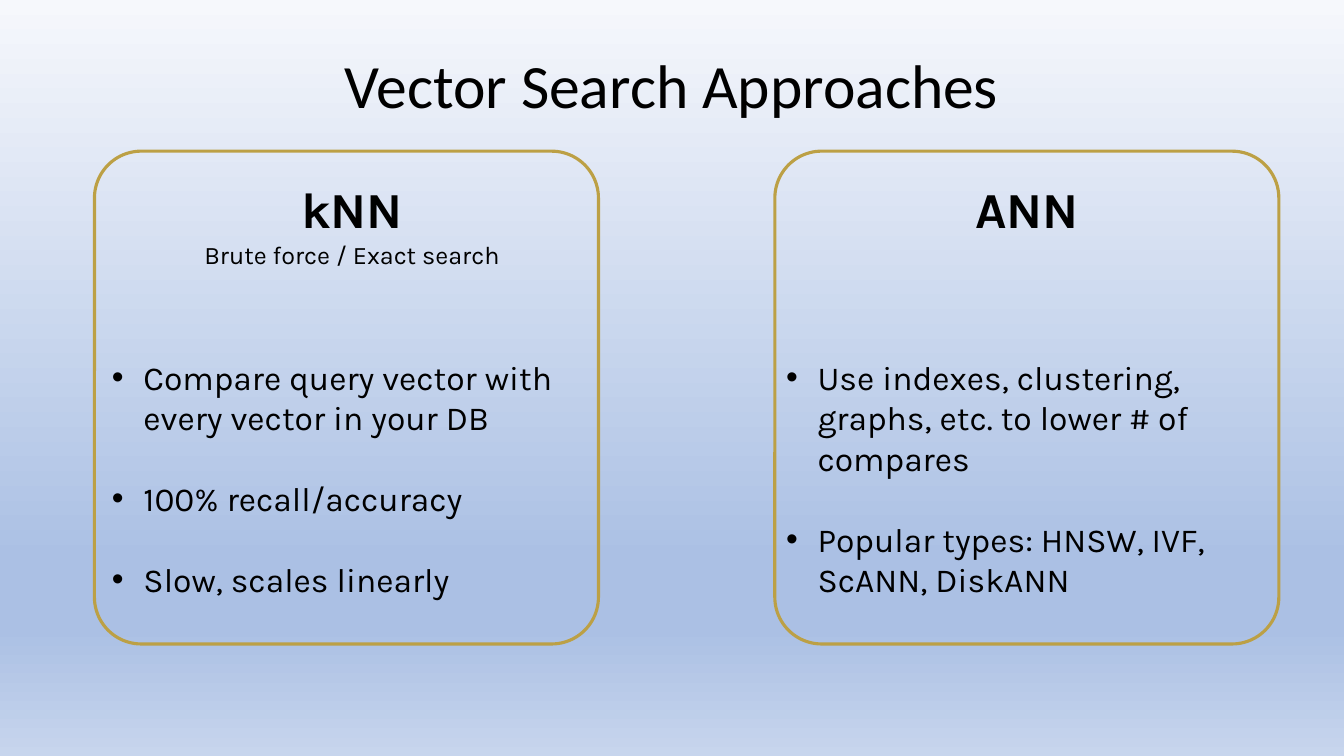
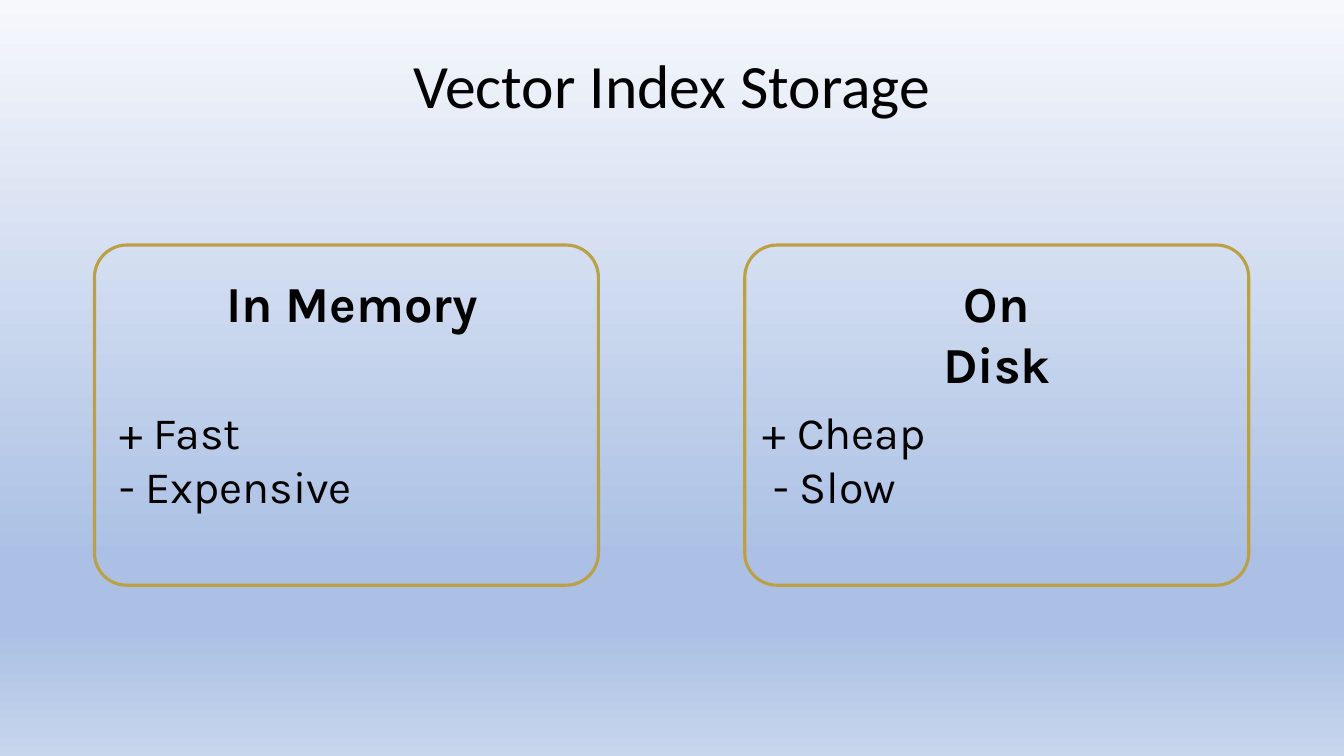
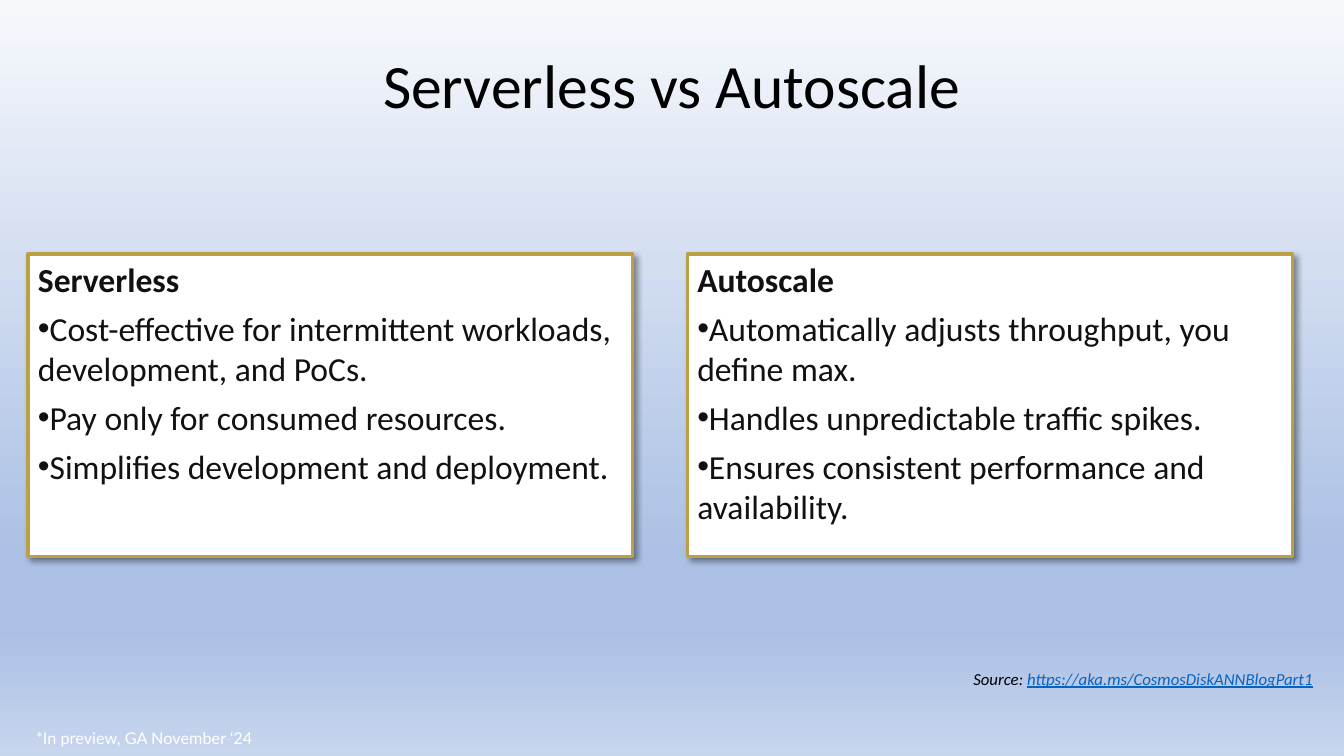
from lxml import etree
from pptx import Presentation
from pptx.dml.color import RGBColor
from pptx.enum import shapes, text
from pptx.oxml import ns, parse_xml
from pptx.util import Pt

GOLD, BLACK, WHITE, INK, LINK = "BCA045", "000000", "FFFFFF", "111111", "0563C1"
BACKDROP = [(0, "F6F8FC"), (74, "ABC0E4"), (83, "ABC0E4"), (100, "C7D5ED")]
HEADING_FONT, CARD_FONT, NOTE_FONT = "Calibri", "Karla", "Lato"
LEFT, CENTER, RIGHT = text.PP_ALIGN.LEFT, text.PP_ALIGN.CENTER, text.PP_ALIGN.RIGHT


def color(value):
    return RGBColor.from_string(value)


def style(span, size, font, ink=BLACK, bold=False, italic=False):
    span.font.size = Pt(size)
    span.font.name = font
    span.font.color.rgb = color(ink)
    span.font.bold = bold
    span.font.italic = italic


def write(para, words, size, font, ink=BLACK, bold=False, align=LEFT):
    para.text = words
    para.alignment = align
    for span in para.runs:
        style(span, size, font, ink, bold)


def paragraphs(frame, count):
    return [frame.paragraphs[0]] + [frame.add_paragraph() for _ in range(count - 1)]


def indent(para, margin, first=0):
    props = para._p.get_or_add_pPr()
    props.set("marL", str(Pt(margin)))
    props.set("indent", str(Pt(first)))


def bullet(para):
    props = para._p.get_or_add_pPr()
    etree.SubElement(props, ns.qn("a:buFont")).set("typeface", "Arial")
    etree.SubElement(props, ns.qn("a:buChar")).set("char", "•")


def text_box(page, left, top, width, height, inset=0):
    frame = page.shapes.add_textbox(Pt(left), Pt(top), Pt(width), Pt(height)).text_frame
    frame.word_wrap = True
    if inset == 0:
        frame.margin_left = frame.margin_right = frame.margin_top = frame.margin_bottom = 0
    return frame


def outlined(page, kind, box, fill=None):
    shape = page.shapes.add_shape(kind, *[Pt(side) for side in box])
    shape.shadow.inherit = False
    if fill:
        shape.fill.solid()
        shape.fill.fore_color.rgb = color(fill)
    else:
        shape.fill.background()
    shape.line.color.rgb = color(GOLD)
    shape.line.width = Pt(2.25)
    return shape


def paint_backdrop(master):
    fill = master.background.fill
    fill.gradient()
    fill.gradient_angle = 270
    stops = next(master.element.iter(ns.qn("a:gsLst")))
    for stop in list(stops):
        stops.remove(stop)
    for position, value in BACKDROP:
        stop = etree.SubElement(stops, ns.qn("a:gs"), pos=str(position * 1000))
        etree.SubElement(stop, ns.qn("a:srgbClr"), val=value)


def titled_page(deck, words):
    page = deck.slides.add_slide(deck.slide_layouts[5])
    title = page.shapes.title
    title.left, title.top, title.width, title.height = Pt(46), Pt(36), Pt(868), Pt(44)
    frame = title.text_frame
    frame.auto_size = text.MSO_AUTO_SIZE.NONE
    frame.vertical_anchor = text.MSO_ANCHOR.TOP
    para = frame.paragraphs[0]
    write(para, words, 44, HEADING_FONT, align=CENTER)
    para.line_spacing = 0.9
    return page


def card(page, box, heading, heading_width, shift=0, subtitle=None):
    left, top, width, height = box
    shape = outlined(page, shapes.MSO_SHAPE.ROUNDED_RECTANGLE, box)
    shape.adjustments[0] = 0.095
    frame = text_box(page, left + (width - heading_width) / 2 + shift,
                     top + 19.5, heading_width, 44)
    paras = paragraphs(frame, 2 if subtitle else 1)
    write(paras[0], heading, 36, CARD_FONT, bold=True, align=CENTER)
    if subtitle:
        write(paras[1], subtitle, 18, CARD_FONT, align=CENTER)


def bullet_list(page, box, items):
    frame = text_box(page, *box)
    for order, (para, words) in enumerate(zip(paragraphs(frame, len(items)), items)):
        indent(para, 22.5, -22.5)
        bullet(para)
        write(para, words, 24, CARD_FONT)
        if order:
            para.space_before = Pt(29)


def pros_and_cons(page, box, pro, con, con_indent=0):
    para_pro, para_con = paragraphs(text_box(page, *box), 2)
    write(para_pro, "+ " + pro, 32, CARD_FONT)
    write(para_con, "- " + con, 32, CARD_FONT)
    indent(para_con, con_indent)


def panel(page, box, heading, items):
    shape = outlined(page, shapes.MSO_SHAPE.RECTANGLE, box, WHITE)
    effects = shape.element.spPr.find(ns.qn("a:effectLst"))
    effects.append(parse_xml(
        f'<a:outerShdw {ns.nsdecls("a")} blurRad="{Pt(4)}" dist="{Pt(3)}" dir="2700000" '
        f'algn="tl" rotWithShape="0"><a:srgbClr val="{BLACK}"><a:alpha val="40000"/>'
        '</a:srgbClr></a:outerShdw>'))
    frame = shape.text_frame
    frame.word_wrap = True
    frame.vertical_anchor = text.MSO_ANCHOR.TOP
    first, *rest = paragraphs(frame, len(items) + 1)
    write(first, heading, 24, HEADING_FONT, INK, bold=True)
    for para, words in zip(rest, items):
        bullet(para)
        write(para, words, 24, HEADING_FONT, INK)
        para.space_before = Pt(6)


def source_line(page, box, label, address):
    para = text_box(page, *box, inset=None).paragraphs[0]
    para.alignment = RIGHT
    for words, ink in ((label, BLACK), (address, LINK)):
        span = para.add_run()
        span.text = words
        style(span, 12, HEADING_FONT, ink, italic=True)
        span.font.underline = ink == LINK


def footnote(page, box, words):
    para = text_box(page, *box).paragraphs[0]
    write(para, words, 20, NOTE_FONT, WHITE)
    indent(para, 0.75)
    para.runs[0]._r.get_or_add_rPr().set("baseline", "30000")


def approaches_page(deck):
    page = titled_page(deck, "Vector Search Approaches")
    top, width, height = 108, 360, 352
    card(page, (67.5, top, width, height), "kNN", 294, 4, "Brute force / Exact search")
    card(page, (553.5, top, width, height), "ANN", 120)
    bullet_list(page, (80, top + 147, 332, 174), [
        "Compare query vector with every vector in your DB",
        "100% recall/accuracy",
        "Slow, scales linearly"])
    bullet_list(page, (561.5, top + 147, 352, 145), [
        "Use indexes, clustering, graphs, etc. to lower # of compares",
        "Popular types: HNSW, IVF, ScANN, DiskANN"])


def storage_page(deck):
    page = titled_page(deck, "Vector Index Storage")
    top, width, height = 175, 360, 243
    card(page, (67.5, top, width, height), "In Memory", 294, 4)
    card(page, (532, top, width, height), "On Disk", 120)
    pros_and_cons(page, (85, top + 114, 334, 78), "Fast", "Expensive")
    pros_and_cons(page, (545, top + 114, 334, 78), "Cheap", "Slow", 7.5)


def pricing_page(deck):
    page = titled_page(deck, "Serverless vs Autoscale")
    panels = [
        ("Serverless", ["Cost-effective for intermittent workloads, development, and PoCs.",
                        "Pay only for consumed resources.",
                        "Simplifies development and deployment."]),
        ("Autoscale", ["Automatically adjusts throughput, you define max.",
                       "Handles unpredictable traffic spikes.",
                       "Ensures consistent performance and availability."])]
    for column, (heading, items) in enumerate(panels):
        panel(page, (20 + 471 * column, 181.5, 432, 216), heading, items)
    source_line(page, (467, 474, 478, 22), "Source: ",
                "https://aka.ms/CosmosDiskANNBlogPart1")
    footnote(page, (25, 517.5, 218, 22), "*In preview, GA November ‘24")


def main():
    deck = Presentation()
    deck.slide_width, deck.slide_height = Pt(960), Pt(540)
    paint_backdrop(deck.slide_master)
    approaches_page(deck)
    storage_page(deck)
    pricing_page(deck)
    deck.save("out.pptx")


if __name__ == "__main__":
    main()
